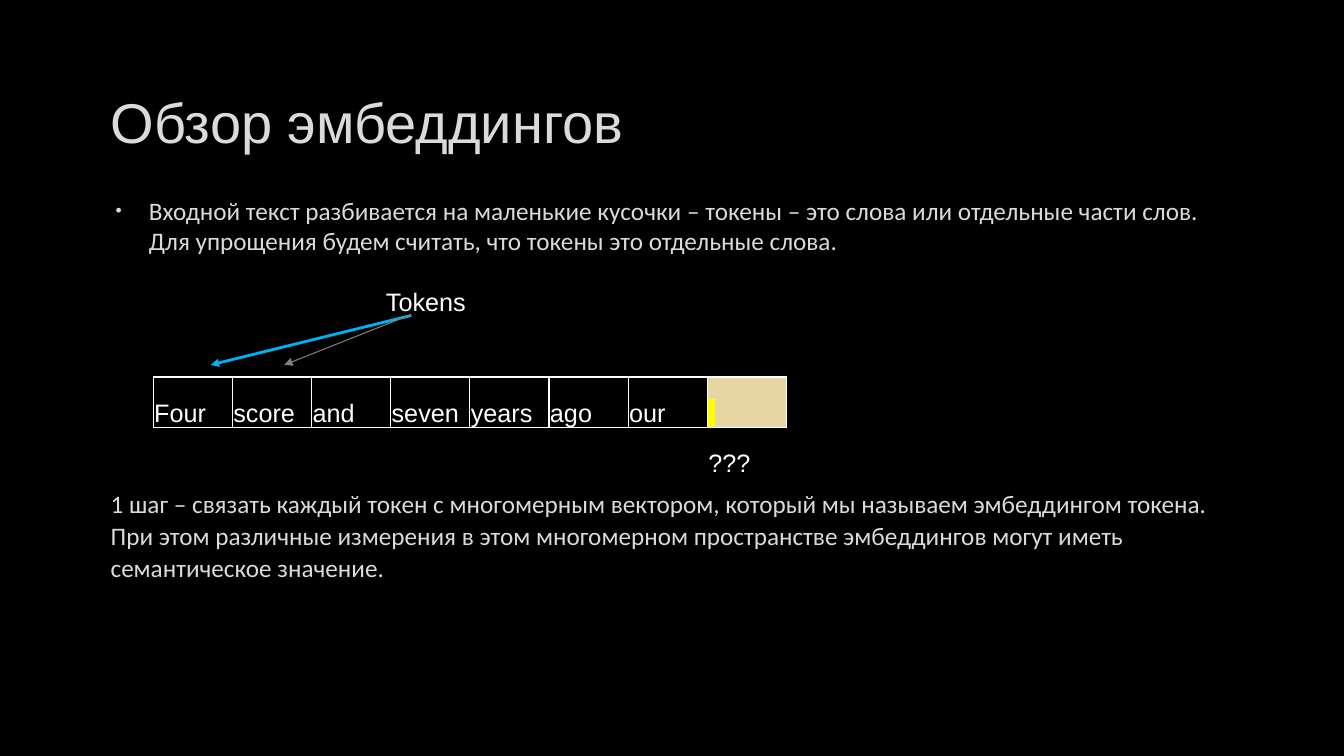
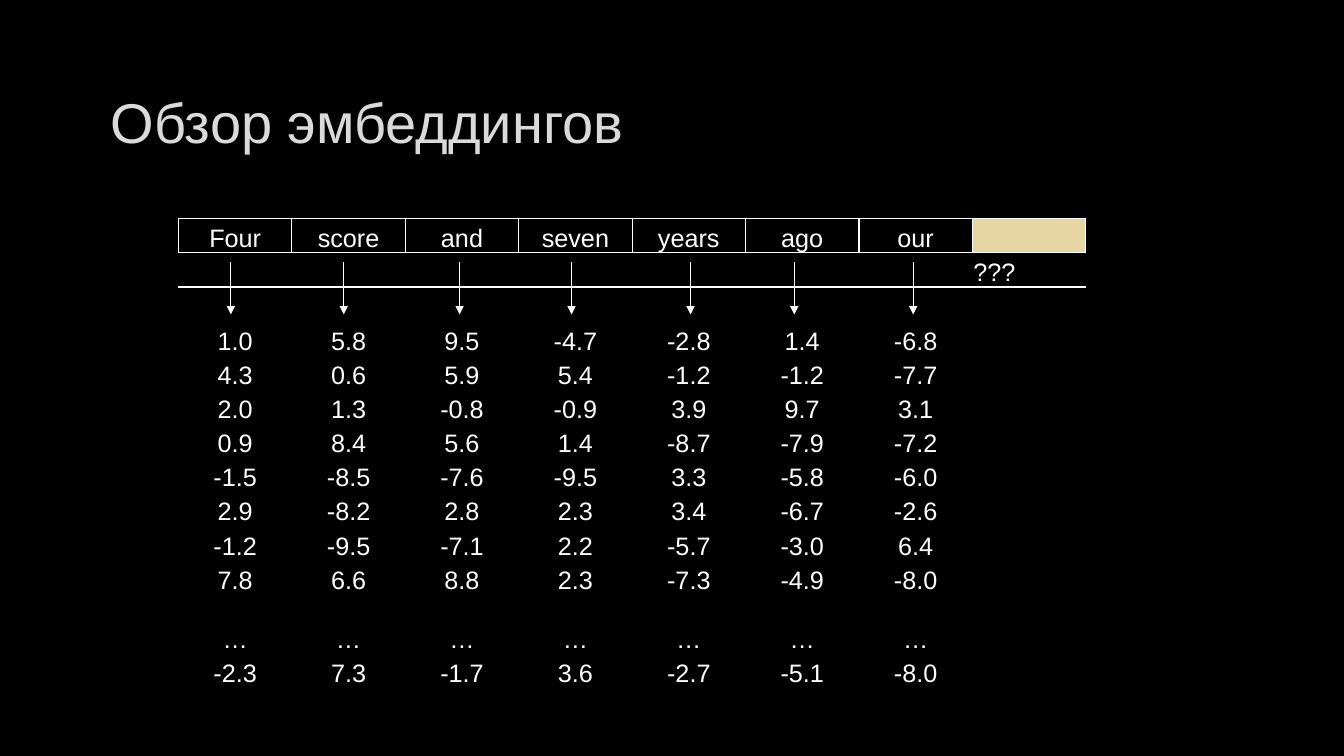
import dataclasses
import typing

import lxml.etree
import pptx
import pptx.dml.color
import pptx.enum.shapes
import pptx.enum.text
import pptx.oxml.ns
import pptx.util

qn = pptx.oxml.ns.qn
RGBColor = pptx.dml.color.RGBColor
Align = pptx.enum.text.PP_ALIGN
Anchor = pptx.enum.text.MSO_ANCHOR

BLACK = RGBColor(0x00, 0x00, 0x00)
WHITE = RGBColor(0xFF, 0xFF, 0xFF)
PALE = RGBColor(0xDA, 0xDA, 0xDA)
OUTLINE = RGBColor(0x40, 0x40, 0x40)
SAND = RGBColor(0xE5, 0xD6, 0xA4)
YELLOW = RGBColor(0xFF, 0xFF, 0x00)
CYAN = RGBColor(0x00, 0xB0, 0xF0)
GRAY = RGBColor(0x80, 0x80, 0x80)

SLIDE_WIDTH = pptx.util.Inches(13.33)
SLIDE_HEIGHT = pptx.util.Inches(7.5)
PLAIN_TABLE_STYLE = "{2D5ABB26-0587-4C30-8999-92F81FD0307C}"

TITLE = "Обзор эмбеддингов"
TOKENS = ["Four", "score", "and", "seven", "years", "ago", "our"]
UNKNOWN = "???"
VECTORS = """
1.0 5.8 9.5 -4.7 -2.8 1.4 -6.8
4.3 0.6 5.9 5.4 -1.2 -1.2 -7.7
2.0 1.3 -0.8 -0.9 3.9 9.7 3.1
0.9 8.4 5.6 1.4 -8.7 -7.9 -7.2
-1.5 -8.5 -7.6 -9.5 3.3 -5.8 -6.0
2.9 -8.2 2.8 2.3 3.4 -6.7 -2.6
-1.2 -9.5 -7.1 2.2 -5.7 -3.0 6.4
7.8 6.6 8.8 2.3 -7.3 -4.9 -8.0
… … … … … … …
-2.3 7.3 -1.7 3.6 -2.7 -5.1 -8.0
"""


@dataclasses.dataclass(frozen=True)
class Area:
    """A rectangle in percent of the slide's width and height."""
    left: float
    top: float
    width: float
    height: float


@dataclasses.dataclass(frozen=True)
class TextStyle:
    font: str = "Arial"
    size: float = 18
    color: RGBColor = WHITE
    outlined: bool = False


@dataclasses.dataclass(frozen=True)
class Arrow:
    """Start and end in percent of the slide; the head is at the end."""
    start: tuple[float, float]
    end: tuple[float, float]
    color: RGBColor = WHITE
    weight: float = 0.75


@dataclasses.dataclass(frozen=True)
class TokenGrid:
    left: float
    top: float
    column: float
    rows: list[float]
    align: Align
    ruled_rows: int


TITLE_STYLE = TextStyle(size=40, color=PALE, outlined=True)
BODY_STYLE = TextStyle(font="Calibri", color=PALE, outlined=True)
LABEL_STYLE = TextStyle()

TITLE_AREA = Area(7.5, 8.93, 84.9, 14.13)
INTRO_AREA = Area(7.5, 25.2, 84.9, 14.13)
STEP_AREA = Area(7.5, 63.6, 84.9, 14.13)
LABEL_AREA = Area(27.98, 37.2, 16.58, 5.33)

TOKEN_GRID = TokenGrid(11.4, 49.87, 5.89, [6.67] * 2, Align.LEFT, 1)
VECTOR_GRID = TokenGrid(13.28, 28.93, 8.44, [4.52] * 11 + [7.87, 4.52],
                        Align.CENTER, 2)
VECTOR_ARROW_COLUMNS = [17.18, 25.58, 34.2, 42.53, 51.38, 59.1, 67.95]


def across(percent: float) -> int:
    return round(SLIDE_WIDTH * percent / 100)


def down(percent: float) -> int:
    return round(SLIDE_HEIGHT * percent / 100)


def apply_format(target: typing.Any, values: dict[str, typing.Any]) -> None:
    for name, value in values.items():
        setattr(target, name, value)


def add_element(parent: typing.Any, tag: str, **attributes: typing.Any) -> typing.Any:
    texts = {name: str(value) for name, value in attributes.items()}
    return lxml.etree.SubElement(parent, qn(tag), texts)


def add_color(parent: typing.Any, color: RGBColor) -> typing.Any:
    return add_element(parent, "a:srgbClr", val=color)


def write(para: typing.Any, text: str, style: TextStyle) -> typing.Any:
    span = para.add_run()
    span.text = text
    apply_format(span.font, {"name": style.font, "size": pptx.util.Pt(style.size)})
    span.font.color.rgb = style.color
    if style.outlined:
        properties = span.font._element
        line = add_element(properties, "a:ln", w=pptx.util.Pt(0.75))
        color = add_color(add_element(line, "a:solidFill"), OUTLINE)
        add_element(color, "a:alpha", val=10000)
        properties.insert(0, line)
    return span


def add_text(page: typing.Any, area: Area, text: str, style: TextStyle,
             frame_format: dict[str, typing.Any] | None = None,
             para_format: dict[str, typing.Any] | None = None) -> typing.Any:
    box = page.shapes.add_textbox(across(area.left), down(area.top),
                                  across(area.width), down(area.height))
    apply_format(box.text_frame, {"word_wrap": True, **(frame_format or {})})
    para = box.text_frame.paragraphs[0]
    apply_format(para, para_format or {})
    write(para, text, style)
    return para


def add_bullet(para: typing.Any) -> None:
    properties = para._p.get_or_add_pPr()
    properties.set("marL", str(pptx.util.Inches(0.38)))
    properties.set("indent", str(pptx.util.Inches(-0.33)))
    add_color(add_element(properties, "a:buClr"), PALE)
    add_element(properties, "a:buSzPct", val=70000)
    add_element(properties, "a:buFont", typeface="Arial")
    add_element(properties, "a:buChar", char="•")


def add_arrow(page: typing.Any, arrow: Arrow) -> None:
    connector = page.shapes.add_connector(
        pptx.enum.shapes.MSO_CONNECTOR.STRAIGHT,
        across(arrow.start[0]), down(arrow.start[1]),
        across(arrow.end[0]), down(arrow.end[1]))
    connector.line.color.rgb = arrow.color
    connector.line.width = pptx.util.Pt(arrow.weight)
    add_element(connector.line._get_or_add_ln(), "a:tailEnd", type="triangle")
    add_element(connector._element.spPr, "a:effectLst")


def add_borders(cell: typing.Any, sides: str) -> None:
    """Rule the given sides, named by letters in the order L, R, T, B."""
    properties = cell._tc.get_or_add_tcPr()
    for side in sides:
        line = add_element(properties, f"a:ln{side}", w=pptx.util.Pt(1))
        add_color(add_element(line, "a:solidFill"), WHITE)


def add_token_table(page: typing.Any, grid: TokenGrid,
                    vectors: list[list[str]]) -> typing.Any:
    """Tokens with an open last place, its mark below, then any vectors."""
    blank = [""] * len(TOKENS)
    body = [blank, *vectors] if vectors else []
    texts = [TOKENS + [""], blank + [UNKNOWN], *(row + [""] for row in body)]
    columns = len(texts[0])
    table = page.shapes.add_table(
        len(texts), columns, across(grid.left), down(grid.top),
        across(grid.column * columns), down(sum(grid.rows))).table
    apply_format(table, {"first_row": False, "horz_banding": False})
    table._tbl.tblPr.find(qn("a:tableStyleId")).text = PLAIN_TABLE_STYLE
    for column in table.columns:
        column.width = across(grid.column)
    margin = pptx.util.Inches(0.01)
    for row_index, row in enumerate(texts):
        table.rows[row_index].height = down(grid.rows[row_index])
        for column_index, text in enumerate(row):
            cell = table.cell(row_index, column_index)
            apply_format(cell, {
                "vertical_anchor": Anchor.BOTTOM, "margin_left": margin,
                "margin_right": margin, "margin_top": margin, "margin_bottom": 0})
            if row_index == 0:
                add_borders(cell, "LRTB")
            elif row_index == 1:
                add_borders(cell, "TB" if grid.ruled_rows > 1 else "T")
            cell.fill.background()
            if text:
                para = cell.text_frame.paragraphs[0]
                para.alignment = Align.LEFT if text == UNKNOWN else grid.align
                write(para, text, LABEL_STYLE)
    open_cell = table.cell(0, columns - 1)
    open_cell.fill.solid()
    open_cell.fill.fore_color.rgb = SAND
    return open_cell


def add_cursor(cell: typing.Any) -> None:
    """Mark the open place with one highlighted space."""
    span = write(cell.text_frame.paragraphs[0], " ", LABEL_STYLE)
    properties = span.font._element
    highlight = add_element(properties, "a:highlight")
    add_color(highlight, YELLOW)
    properties.find(qn("a:solidFill")).addnext(highlight)


def add_page(deck: typing.Any) -> typing.Any:
    page = deck.slides.add_slide(deck.slide_layouts[6])
    page.background.fill.solid()
    page.background.fill.fore_color.rgb = BLACK
    add_text(page, TITLE_AREA, TITLE, TITLE_STYLE, {"vertical_anchor": Anchor.MIDDLE})
    return page


def build_token_page(deck: typing.Any) -> None:
    page = add_page(deck)
    growing = {"auto_size": pptx.enum.text.MSO_AUTO_SIZE.SHAPE_TO_FIT_TEXT}
    intro = add_text(
        page, INTRO_AREA,
        "Входной текст разбивается на маленькие кусочки – токены – это слова или "
        "отдельные части слов. Для упрощения будем считать, что токены это "
        "отдельные слова.",
        BODY_STYLE, para_format={"space_after": pptx.util.Pt(6)})
    add_bullet(intro)
    add_cursor(add_token_table(page, TOKEN_GRID, []))
    add_text(page, LABEL_AREA, "Tokens", LABEL_STYLE, growing)
    for arrow in (Arrow((30.6, 41.73), (15.68, 48.27), CYAN, 2),
                  Arrow((30.6, 41.6), (21.15, 48.27), GRAY)):
        add_arrow(page, arrow)
    add_text(
        page, STEP_AREA,
        "1 шаг – связать каждый токен с многомерным вектором, который мы называем "
        "эмбеддингом токена. При этом различные измерения в этом многомерном "
        "пространстве эмбеддингов могут иметь семантическое значение.",
        BODY_STYLE, growing,
        {"line_spacing": 1.07, "space_after": pptx.util.Pt(8)})


def build_vector_page(deck: typing.Any) -> None:
    page = add_page(deck)
    vectors = [line.split() for line in VECTORS.strip().splitlines()]
    add_token_table(page, VECTOR_GRID, vectors)
    for column in VECTOR_ARROW_COLUMNS:
        add_arrow(page, Arrow((column, 34.67), (column, 41.6)))


def main() -> None:
    deck = pptx.Presentation()
    apply_format(deck, {"slide_width": SLIDE_WIDTH, "slide_height": SLIDE_HEIGHT})
    build_token_page(deck)
    build_vector_page(deck)
    deck.save("out.pptx")


if __name__ == "__main__":
    main()
